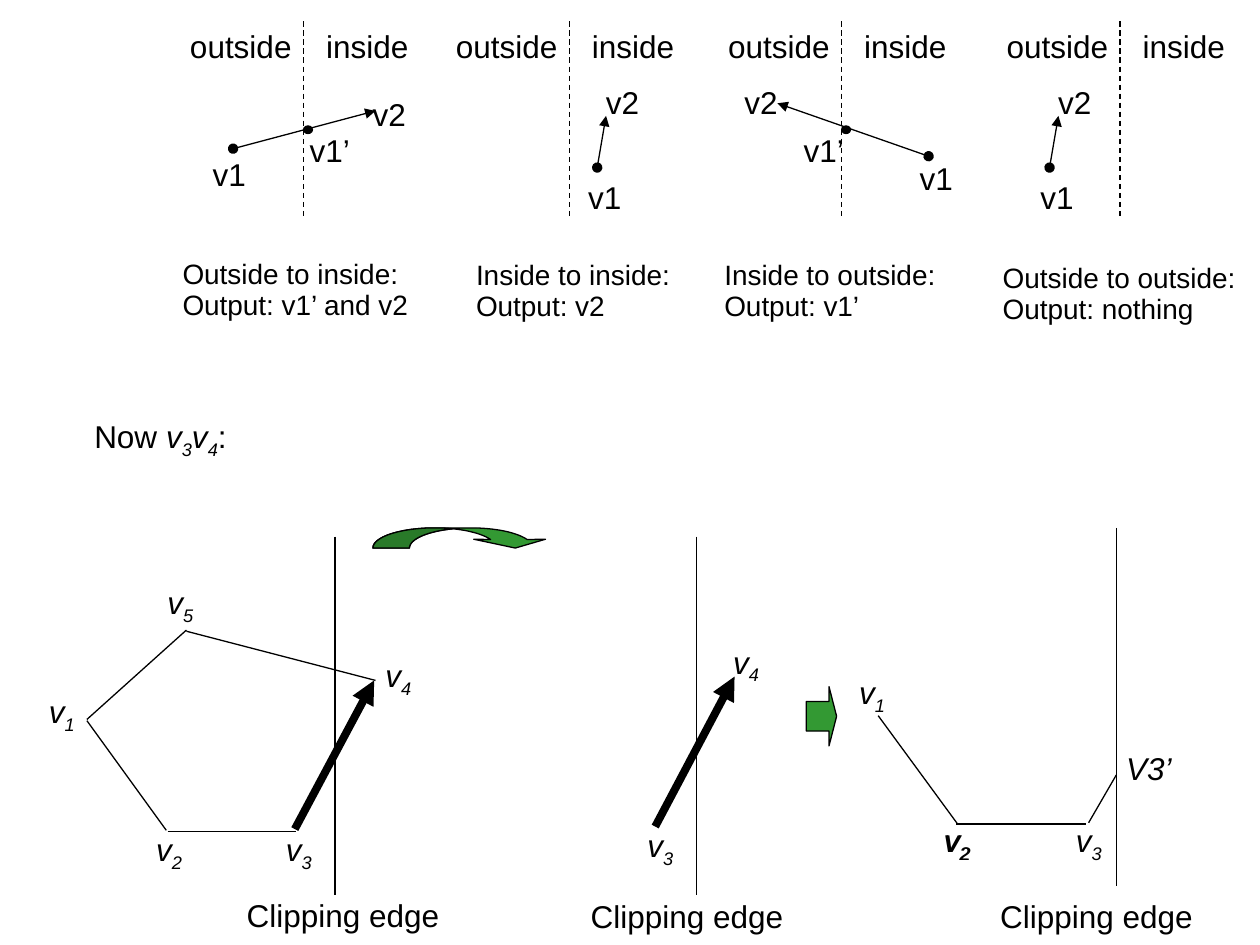
import math
from dataclasses import dataclass

from lxml import etree
from pptx import Presentation
from pptx.dml.color import RGBColor
from pptx.enum.dml import MSO_LINE_DASH_STYLE
from pptx.enum.shapes import MSO_CONNECTOR, MSO_SHAPE
from pptx.enum.text import MSO_AUTO_SIZE
from pptx.oxml.ns import qn
from pptx.util import Inches, Pt

STRAIGHT = MSO_CONNECTOR.STRAIGHT
DASH = MSO_LINE_DASH_STYLE.DASH
OVAL = MSO_SHAPE.OVAL
RIGHT_ARROW = MSO_SHAPE.RIGHT_ARROW
GROW = MSO_AUTO_SIZE.SHAPE_TO_FIT_TEXT

COLORS = {"ink": "000000", "green": "339933", "dark green": "297A29"}
THIN, THICK = 0.75, 4.5
Point = tuple[float, float]


@dataclass(frozen=True)
class Span:
    text: str
    italic: bool = False
    subscript: bool = False


@dataclass(frozen=True)
class Label:
    text: str
    left: float
    top: float
    width: float = 0.5


@dataclass(frozen=True)
class Panel:
    edge: float
    start: Point
    end: Point
    labels: tuple[Label, ...]
    caption: Label
    crosses: bool = False


@dataclass(frozen=True)
class Line:
    start: Point
    end: Point
    width: float = THIN
    dashed: bool = False
    head: str = ""
    tail: str = ""


PANELS = (
    Panel(2.41, (1.85, 1.18), (2.98, 0.88),
          (Label("v1", 1.59, 1.21), Label("v1’", 2.36, 1.02, 0.56), Label("v2", 2.86, 0.73)),
          Label("Outside to inside:\nOutput: v1’ and v2", 1.35, 2.01, 2.05), True),
    Panel(4.52, (4.74, 1.33), (4.81, 0.92),
          (Label("v1", 4.57, 1.39), Label("v2", 4.71, 0.64)),
          Label("Inside to inside:\nOutput: v2", 3.68, 2.02, 1.8)),
    Panel(6.68, (7.37, 1.24), (6.17, 0.82),
          (Label("v1", 7.2, 1.24), Label("v1’", 6.28, 1.02, 0.56), Label("v2", 5.81, 0.64)),
          Label("Inside to outside:\nOutput: v1’", 5.65, 2.02, 1.92), True),
    Panel(8.89, (8.33, 1.33), (8.4, 0.92),
          (Label("v1", 8.16, 1.39), Label("v2", 8.3, 0.64)),
          Label("Outside to outside:\nOutput: nothing", 7.86, 2.04, 2.1)),
)

VERTICES = (
    ("1", 0.29, 5.44), ("5", 1.23, 4.58), ("2", 1.14, 6.54), ("3", 2.17, 6.54), ("4", 2.96, 5.16),
    ("3", 5.04, 6.51), ("4", 5.72, 5.05),
    ("1", 6.72, 5.29), ("2", 7.39, 6.47), ("2", 7.4, 6.47), ("3", 8.44, 6.47),
)

POLYGON_LINES = (
    Line((1.48, 5.01), (2.98, 5.4)),
    Line((1.48, 5), (0.69, 5.71)),
    Line((0.69, 5.72), (1.32, 6.59)),
    Line((1.33, 6.6), (2.35, 6.6)),
    Line((6.97, 5.68), (7.6, 6.54)),
    Line((7.59, 6.54), (8.62, 6.54)),
    Line((8.64, 6.53), (8.86, 6.15)),
    Line((2.34, 6.58), (2.97, 5.4), THICK, tail="triangle"),
    Line((5.2, 6.56), (5.83, 5.37), THICK, tail="triangle"),
)

CLIPPING_EDGES = (
    (2.66, 4.26, Label("Clipping edge", 1.86, 7.09, 1.8)),
    (5.53, 4.26, Label("Clipping edge", 4.59, 7.1, 1.8)),
    (8.86, 4.19, Label("Clipping edge", 7.84, 7.1, 1.8)),
)


def rgb(name: str) -> RGBColor:
    return RGBColor.from_string(COLORS[name])


def paint(shape, fill: str) -> None:
    shape.shadow.inherit = False
    shape.fill.solid()
    shape.fill.fore_color.rgb = rgb(fill)
    shape.line.color.rgb = rgb("ink")
    shape.line.width = Pt(THIN)


def draw_line(slide, line: Line) -> None:
    connector = slide.shapes.add_connector(STRAIGHT, *map(Inches, line.start + line.end))
    connector.line.color.rgb = rgb("ink")
    connector.line.width = Pt(line.width)
    if line.dashed:
        connector.line.dash_style = DASH
    outline = connector.line._get_or_add_ln()
    for tag, kind in (("a:headEnd", line.head), ("a:tailEnd", line.tail)):
        if kind:
            etree.SubElement(outline, qn(tag)).set("type", kind)
    etree.SubElement(connector._element.spPr, qn("a:effectLst"))


def add_box(slide, left: float, top: float, width: float, height: float):
    box = slide.shapes.add_textbox(*map(Inches, (left, top, width, height)))
    box.text_frame.word_wrap = True
    box.text_frame.auto_size = GROW
    return box.text_frame


def format_paragraph(paragraph, size: float = 18) -> None:
    paragraph.line_spacing = 0.93
    paragraph.font.size = Pt(size)
    paragraph.font.name = "Arial"
    paragraph.font.color.rgb = rgb("ink")


def draw_label(slide, label: Label, size: float = 18, height: float = 0.38, italic: bool = False) -> None:
    frame = add_box(slide, label.left, label.top, label.width, height)
    frame.text = label.text
    for paragraph in frame.paragraphs:
        format_paragraph(paragraph, size)
        paragraph.font.italic = italic


def draw_spans(slide, spans: tuple[Span, ...], left: float, top: float, width: float) -> None:
    paragraph = add_box(slide, left, top, width, 0.42).paragraphs[0]
    format_paragraph(paragraph)
    for span in spans:
        run = paragraph.add_run()
        run.text = span.text
        run.font.italic = span.italic
        if span.subscript:
            run._r.get_or_add_rPr().set("baseline", "-25000")


def vertex(index: str) -> tuple[Span, Span]:
    return Span("v", True), Span(index, True, True)


def draw_heading(slide, edge: float) -> None:
    paragraph = add_box(slide, edge - 1, 0.19, 1.93, 0.38).paragraphs[0]
    paragraph.text = "outside\tinside"
    tabs = etree.SubElement(paragraph._p.get_or_add_pPr(), qn("a:tabLst"))
    etree.SubElement(tabs, qn("a:tab"), pos=str(Inches(1.08)), algn="l")
    format_paragraph(paragraph)


def draw_panel(slide, panel: Panel) -> None:
    draw_line(slide, Line((panel.edge, 0.17), (panel.edge, 1.72), dashed=True))
    draw_heading(slide, panel.edge)
    draw_line(slide, Line(panel.start, panel.end, head="oval", tail="triangle"))
    for label in panel.labels:
        draw_label(slide, label)
    if panel.crosses:
        paint(slide.shapes.add_shape(OVAL, *map(Inches, (panel.edge, 1, 0.07, 0.06))), "ink")
    draw_label(slide, panel.caption, 16, 0.6)


def arc(center: float, first: int, last: int, steps: int = 16) -> list[Point]:
    angles = [math.radians(first + (last - first) * step / steps) for step in range(steps + 1)]
    return [(center + 0.49 * math.cos(angle), 4.35 - 0.16 * math.sin(angle)) for angle in angles]


def draw_outline(slide, points: list[Point], fill: str) -> None:
    corners = [(Inches(x), Inches(y)) for x, y in points]
    builder = slide.shapes.build_freeform(*corners[0])
    builder.add_line_segments(corners[1:], close=True)
    paint(builder.convert_to_shape(), fill)


def draw_curved_arrow(slide) -> None:
    near, far = 3.45, 3.74
    inner = arc(far, 107, 180)
    arrowhead = [(4.33, 4.28), (4.09, 4.35), (3.76, 4.28)]
    body = arc(near, 180, 90) + arc(far, 90, 25) + arrowhead + arc(near, 25, 73) + inner
    draw_outline(slide, body, "green")
    draw_outline(slide, arc(near, 180, 73) + inner, "dark green")


def main() -> None:
    presentation = Presentation()
    presentation.slide_width, presentation.slide_height = Inches(10), Inches(7.5)
    slide = presentation.slides.add_slide(presentation.slide_layouts[6])

    for x, top, label in CLIPPING_EDGES:
        draw_line(slide, Line((x, top), (x, top + 2.84)))
        draw_label(slide, label)
    for line in POLYGON_LINES:
        draw_line(slide, line)
    for index, left, top in VERTICES:
        draw_spans(slide, vertex(index), left, top, 0.45)
    draw_label(slide, Label("V3’", 8.84, 5.92, 0.6), italic=True)
    draw_spans(slide, (Span("Now "), *vertex("3"), *vertex("4"), Span(":")), 0.65, 3.26, 8.76)

    draw_curved_arrow(slide)
    block_arrow = slide.shapes.add_shape(RIGHT_ARROW, *map(Inches, (6.4, 5.45, 0.24, 0.47)))
    block_arrow.adjustments[0], block_arrow.adjustments[1] = 0.5, 0.25
    paint(block_arrow, "green")

    for panel in PANELS:
        draw_panel(slide, panel)
    presentation.save("out.pptx")


if __name__ == "__main__":
    main()
